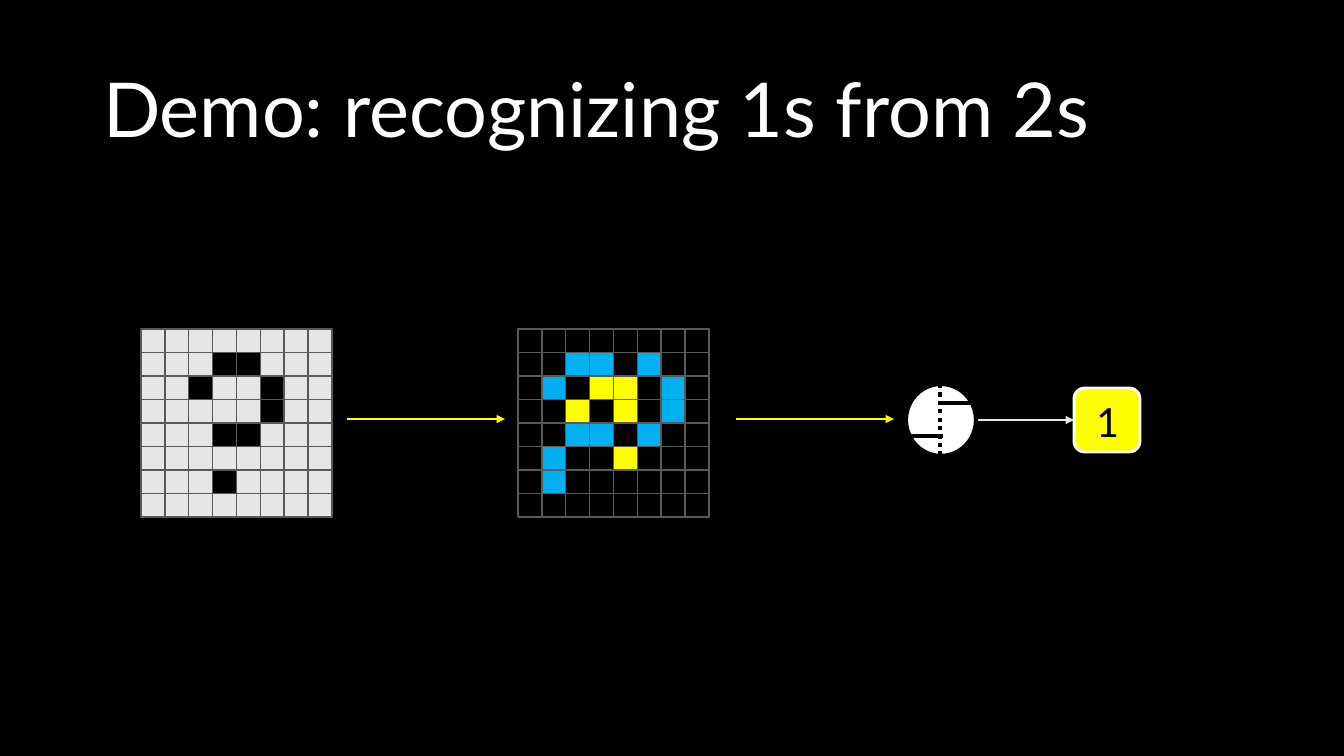
from lxml import etree
from pptx import Presentation
from pptx.dml.color import RGBColor
from pptx.enum import dml, shapes, text
from pptx.oxml.ns import qn
from pptx.util import Emu, Pt

WIDE, HIGH = 1344, 756
SCALE = 12192000 / WIDE

BLACK = RGBColor(0x00, 0x00, 0x00)
WHITE = RGBColor(0xFF, 0xFF, 0xFF)
PALE = RGBColor(0xE7, 0xE6, 0xE6)
GREY = RGBColor(0x59, 0x59, 0x59)
YELLOW = RGBColor(0xFF, 0xFF, 0x00)
BLUE = RGBColor(0x00, 0xB0, 0xF0)

KIND = shapes.MSO_SHAPE
SIDE = 8

DIGIT = """
........
...##...
..#..#..
.....#..
...##...
........
...#....
........
""".split()

WEIGHTS = """
........
..bb.b..
.b.yy.b.
..y.y.b.
..bb.b..
.b..y...
.b......
........
""".split()


def px(*nums):
    return [Emu(round(n * SCALE)) for n in nums]


def write(shape, words, size, font, color, align, space=None):
    frame = shape.text_frame
    frame.word_wrap = True
    frame.vertical_anchor = text.MSO_ANCHOR.MIDDLE
    para = frame.paragraphs[0]
    para.alignment = align
    para.line_spacing = space
    run = para.add_run()
    run.text = words
    run.font.size = Pt(size)
    run.font.name = font
    run.font.color.rgb = color


class Deck:
    def __init__(self):
        self.show = Presentation()
        self.show.slide_width, self.show.slide_height = px(WIDE, HIGH)
        self.slide = self.show.slides.add_slide(self.show.slide_layouts[5])
        fill = self.slide.background.fill
        fill.solid()
        fill.fore_color.rgb = BLACK

    def group(self):
        return self.slide.shapes.add_group_shape().shapes

    def title(self, words, x, y, w, h):
        head = self.slide.shapes.title
        head.left, head.top, head.width, head.height = px(x, y, w, h)
        write(head, words, size=54, font="Lato", color=WHITE,
              align=text.PP_ALIGN.LEFT, space=0.9)

    def shape(self, home, kind, x, y, w, h, fill, line, width):
        item = home.add_shape(kind, *px(x, y, w, h))
        item.shadow.inherit = False
        item.fill.solid()
        item.fill.fore_color.rgb = fill
        item.line.color.rgb = line
        item.line.width = Pt(width)
        return item

    def line(self, home, x1, y1, x2, y2, color, width, arrow=False, dash=None):
        item = home.add_connector(shapes.MSO_CONNECTOR.STRAIGHT,
                                  *px(x1, y1, x2, y2))
        item.line.color.rgb = color
        item.line.width = Pt(width)
        if dash:
            item.line.dash_style = dash
        if arrow:
            tip = etree.SubElement(item.line._get_or_add_ln(), qn("a:tailEnd"))
            tip.set("type", "triangle")
        etree.SubElement(item._element.spPr, qn("a:effectLst"))
        return item

    def grid(self, rows, x, y, w, h, tints):
        """Draw one cell per letter, coloured through tints."""
        home = self.group()
        dx, dy = w / SIDE, h / SIDE
        for r, row in enumerate(rows):
            for c, mark in enumerate(row):
                self.shape(home, KIND.RECTANGLE, x + c * dx, y + r * dy,
                           dx, dy, tints[mark], GREY, 1)

    def unit(self):
        """Draw the threshold unit and the answer that it points to."""
        home = self.group()
        box = self.shape(home, KIND.ROUNDED_RECTANGLE, 1074, 388, 66, 64,
                         YELLOW, WHITE, 2)
        write(box, "1", size=32, font="Calibri", color=BLACK,
              align=text.PP_ALIGN.CENTER)
        out = self.line(home, 906, 420, 1074, 420, PALE, 2, arrow=True)
        out.end_connect(box, 1)
        self.shape(home, KIND.OVAL, 906, 384, 70, 72, WHITE, BLACK, 3)
        self.line(home, 940, 384, 940, 456, BLACK, 3,
                  dash=dml.MSO_LINE.ROUND_DOT)
        for x, y in ((938, 403), (909, 436)):
            self.line(home, x, y, x + 34, y, BLACK, 3)


def main():
    deck = Deck()
    deck.title("Demo: recognizing 1s from 2s", 93, 40, 1159, 146)
    deck.grid(DIGIT, 141, 329, 191, 188, {".": PALE, "#": BLACK})
    deck.unit()
    deck.grid(WEIGHTS, 518, 329, 191, 188,
              {".": BLACK, "b": BLUE, "y": YELLOW})
    for x in (347, 736):
        deck.line(deck.slide.shapes, x, 419, x + 158, 419, YELLOW, 2,
                  arrow=True)
    deck.show.save("out.pptx")


if __name__ == "__main__":
    main()
